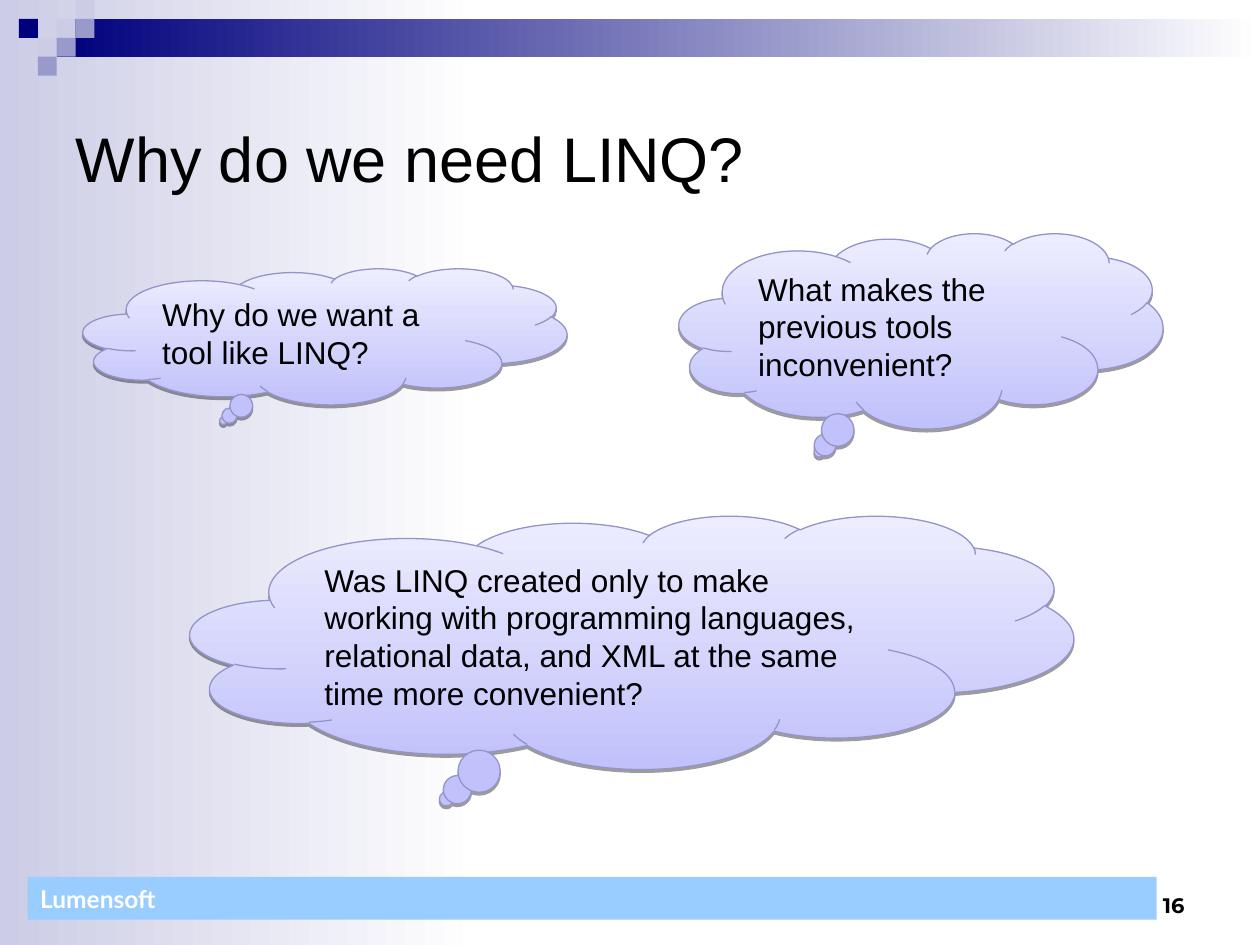
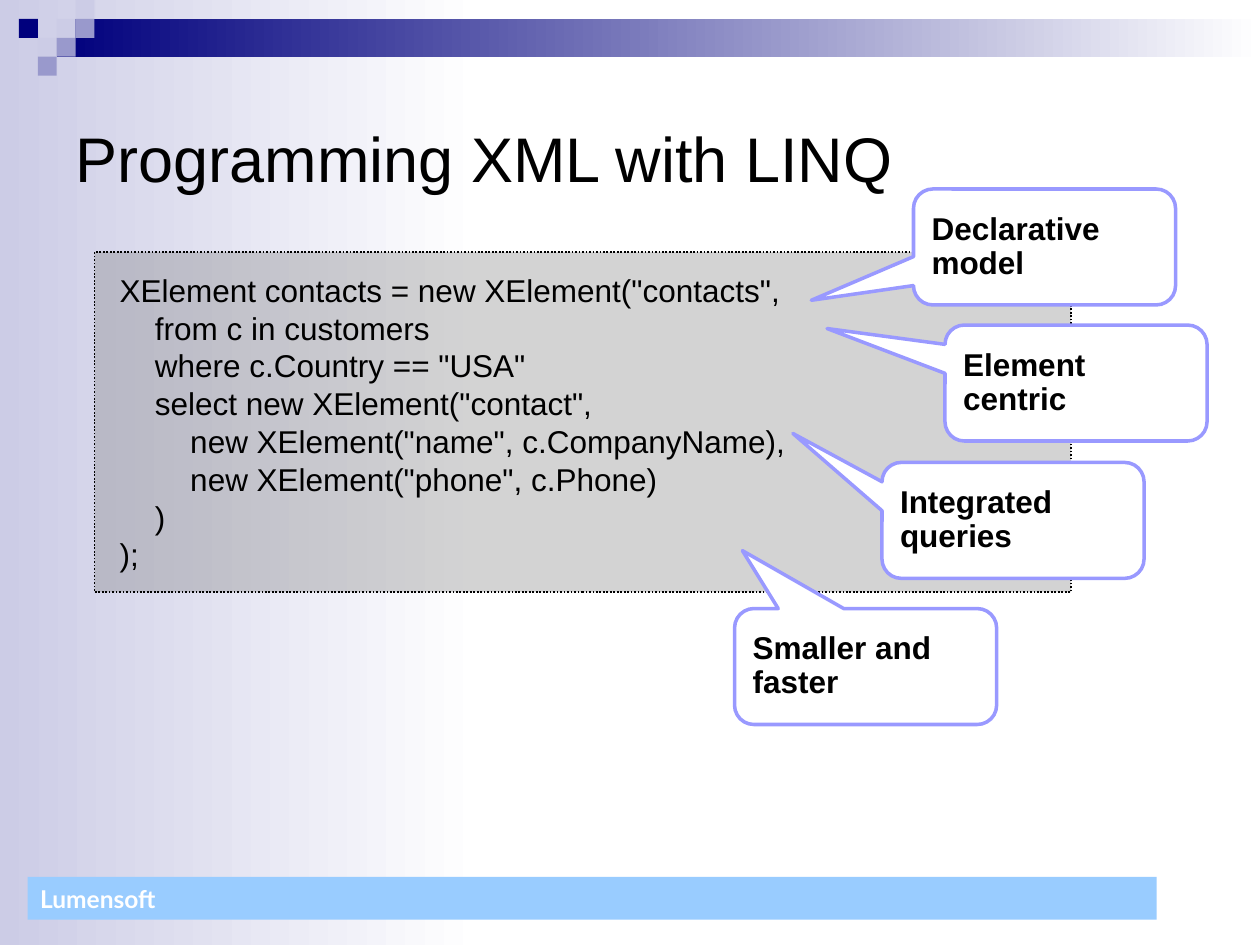
from lxml import etree
from pptx import Presentation
from pptx.dml.color import RGBColor
from pptx.enum.dml import MSO_LINE
from pptx.enum.shapes import MSO_SHAPE
from pptx.enum.text import MSO_ANCHOR, MSO_AUTO_SIZE, PP_ALIGN
from pptx.oxml.ns import qn
from pptx.util import Inches, Pt

RECTANGLE = MSO_SHAPE.RECTANGLE
CLOUD = MSO_SHAPE.CLOUD_CALLOUT
BUBBLE = MSO_SHAPE.ROUNDED_RECTANGULAR_CALLOUT
TOP, MIDDLE, BOTTOM = MSO_ANCHOR.TOP, MSO_ANCHOR.MIDDLE, MSO_ANCHOR.BOTTOM
LEFT, RIGHT = PP_ALIGN.LEFT, PP_ALIGN.RIGHT
DOTTED = MSO_LINE.ROUND_DOT
TITLE_ONLY = 5

COLORS = {
    "text": "000000",
    "white": "FFFFFF",
    "navy": "00007D",
    "pale": "CCCCE6",
    "lilac": "9999CC",
    "footer": "99CCFF",
    "cloud_low": "C1C1FB",
    "cloud_high": "EDEDFF",
    "cloud_line": "9494C9",
    "code": "808080",
    "bubble_line": "9999FF",
}

FOOTER = "Lumensoft"
SQUARE = 0.15
SQUARES = [
    (3, 1, "pale"), (4, 0, "pale"), (4, 1, "lilac"), (2, 2, "pale"),
    (1, 1, "navy"), (3, 2, "lilac"), (2, 3, "lilac"),
]

QUESTIONS_TITLE = "Why do we need LINQ?"
QUESTIONS_NUMBER = "16"
QUESTIONS = [
    ((0.66, 2.13, 3.84, 1.08), ["Why do we want a tool like LINQ?"]),
    ((5.39, 1.85, 3.84, 1.55), ["What makes the previous tools inconvenient?"]),
    ((1.51, 4.09, 7.01, 2.01), [
        "Was LINQ created only to make working with programming languages,",
        "relational data, and XML at the same time more convenient?",
    ]),
]
CLOUD_TAIL = (-0.21, 0.62)

CODE_TITLE = "Programming XML with LINQ"
CODE_INDENT = 0.28
CODE = [
    (0, 'XElement contacts = new XElement("contacts",'),
    (1, "from c in customers"),
    (1, 'where c.Country == "USA"'),
    (1, 'select new XElement("contact",'),
    (2, 'new XElement("name", c.CompanyName),'),
    (2, 'new XElement("phone", c.Phone)'),
    (1, ")"),
    (0, ");"),
]
BUBBLE_SIZE = (2.08, 0.92)
BENEFITS = [
    ((7.25, 1.5), (-0.89, 0.46), "Declarative model"),
    ((7.5, 2.58), (-0.95, -0.47), "Element\ncentric"),
    ((7, 3.67), (-0.84, -0.75), "Integrated queries"),
    ((5.83, 4.83), (-0.47, -1), "Smaller and faster"),
]


def rgb(name):
    return RGBColor.from_string(COLORS[name])


def place(box, area):
    box.left, box.top, box.width, box.height = map(Inches, area)


def add_box(page, area, fill, kind=RECTANGLE, line=None, width=1, tail=()):
    box = page.shapes.add_shape(kind, *map(Inches, area))
    box.shadow.inherit = False
    if isinstance(fill, tuple):
        start, end, angle = fill
        box.fill.gradient()
        box.fill.gradient_angle = angle
        for stop, name in zip(box.fill.gradient_stops, (start, end)):
            stop.color.rgb = rgb(name)
    else:
        box.fill.solid()
        box.fill.fore_color.rgb = rgb(fill)
    if line:
        box.line.color.rgb = rgb(line)
        box.line.width = Pt(width)
    else:
        box.line.fill.background()
    for index, value in enumerate(tail):
        box.adjustments[index] = value
    return box


def write(box, lines, size=18, font="Arial", color="text", bold=False,
          align=LEFT, anchor=MIDDLE, spacing=None):
    frame = box.text_frame
    frame.word_wrap = True
    frame.auto_size = MSO_AUTO_SIZE.NONE
    frame.vertical_anchor = anchor
    for index, line in enumerate(lines):
        para = frame.add_paragraph() if index else frame.paragraphs[0]
        para.text = line
        para.alignment = align
        para.line_spacing = spacing
        para.font.size = Pt(size)
        para.font.name = font
        para.font.bold = bold
        para.font.color.rgb = rgb(color)
    return frame


def add_page(deck, title):
    page = deck.slides.add_slide(deck.slide_layouts[TITLE_ONLY])
    add_box(page, (0, 0, 3.83, 7.5), ("pale", "white", 0))
    add_box(page, (0.45, 0.15, 9.55, 0.3), ("navy", "white", 0))
    for column, row, color in SQUARES:
        add_box(page, (column * SQUARE, row * SQUARE, SQUARE, SQUARE), color)
    footer = add_box(page, (0.22, 6.96, 8.96, 0.34), "footer")
    write(footer, [FOOTER], 14, "Lato", "white", bold=True)

    heading = page.shapes.title
    page.shapes.element.append(heading.element)
    place(heading, (0.5, 0.5, 9, 1.5))
    write(heading, [title], 36)
    return page


def add_drop_shadow(box):
    effects = box.element.spPr.find(qn("a:effectLst"))
    shadow = etree.SubElement(effects, qn("a:outerShdw"), blurRad="0",
                              dist=str(Pt(1.6)), dir="5400000", rotWithShape="0")
    color = etree.SubElement(shadow, qn("a:srgbClr"), val=COLORS["text"])
    etree.SubElement(color, qn("a:alpha"), val="38000")


def add_questions_page(deck):
    page = add_page(deck, QUESTIONS_TITLE)
    number = page.shapes.add_textbox(*map(Inches, (7.17, 6.83, 2.33, 0.5)))
    write(number, [QUESTIONS_NUMBER], 12, "Montserrat", bold=True,
          align=RIGHT, anchor=BOTTOM)
    for area, lines in QUESTIONS:
        cloud = add_box(page, area, ("cloud_low", "cloud_high", 90), CLOUD,
                        "cloud_line", 0.75, CLOUD_TAIL)
        add_drop_shadow(cloud)
        write(cloud, lines)


def add_code_page(deck):
    page = add_page(deck, CODE_TITLE)
    panel = add_box(page, (0.75, 2, 7.75, 2.7), "code", line="text")
    panel.line.dash_style = DOTTED
    color = panel.element.spPr.find(qn("a:solidFill"))[0]
    etree.SubElement(color, qn("a:alpha"), val="34000")
    frame = write(panel, [line for _, line in CODE], anchor=TOP)
    frame.margin_left = frame.margin_right = Inches(0.2)
    frame.margin_top = frame.margin_bottom = Inches(0.15)
    for para, (level, _) in zip(frame.paragraphs, CODE):
        para._p.get_or_add_pPr().set("marL", str(Inches(level * CODE_INDENT)))
    for corner, tail, label in BENEFITS:
        bubble = add_box(page, corner + BUBBLE_SIZE, "white", BUBBLE,
                         "bubble_line", 2, tail)
        write(bubble, [label], bold=True, spacing=0.9)


def main():
    deck = Presentation()
    deck.slide_width, deck.slide_height = Inches(10), Inches(7.5)
    add_questions_page(deck)
    add_code_page(deck)
    deck.save("out.pptx")


if __name__ == "__main__":
    main()
